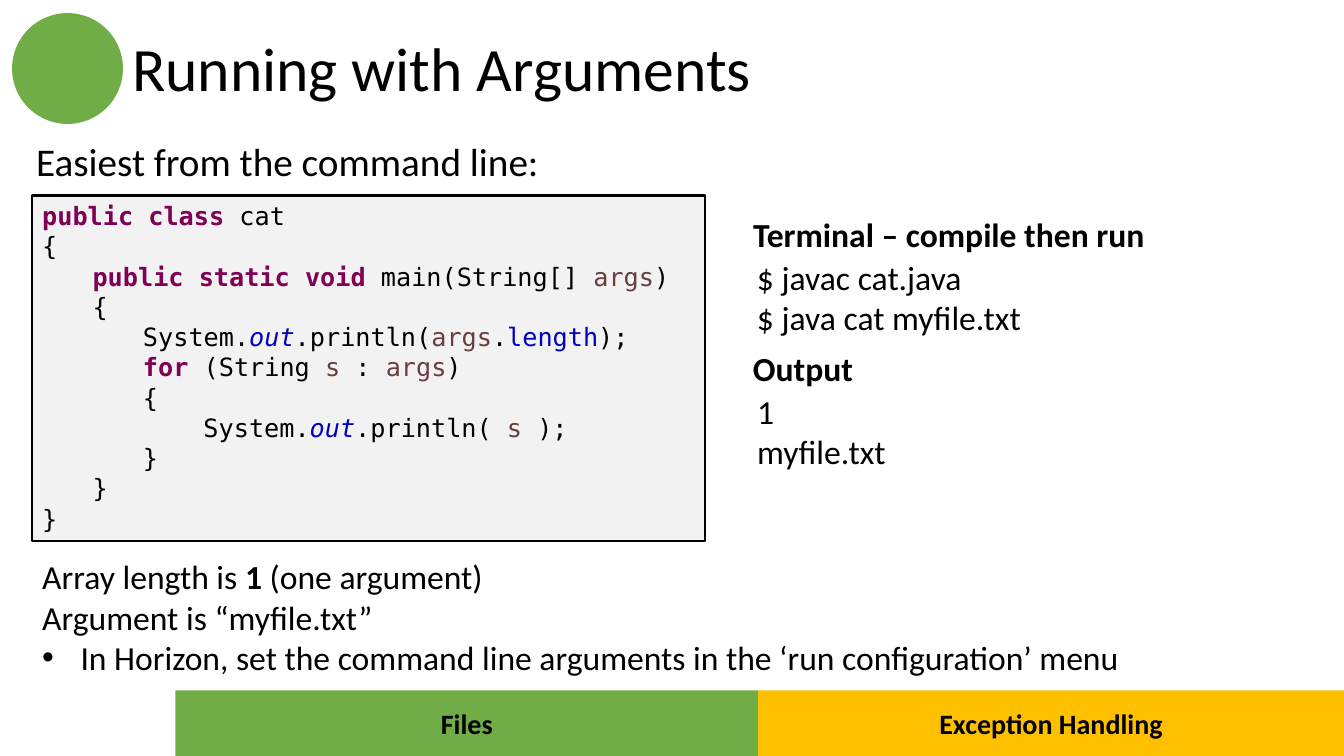
from dataclasses import dataclass
from typing import NamedTuple

from lxml import etree
from pptx import Presentation
from pptx.dml.color import RGBColor
from pptx.enum.shapes import MSO_SHAPE
from pptx.enum.text import MSO_ANCHOR, PP_ALIGN
from pptx.oxml.ns import qn
from pptx.util import Inches, Pt

RECT, OVAL = MSO_SHAPE.RECTANGLE, MSO_SHAPE.OVAL
TOP, MIDDLE = MSO_ANCHOR.TOP, MSO_ANCHOR.MIDDLE
LEFT, CENTER = PP_ALIGN.LEFT, PP_ALIGN.CENTER


@dataclass(frozen=True)
class Theme:
    sans: str = "Calibri"
    mono: str = "DejaVu Sans Mono"
    black: str = "000000"
    green: str = "70AD47"
    gold: str = "FFC000"
    panel: str = "F2F2F2"
    key: str = "7F0055"
    param: str = "6A3E3E"
    field: str = "0000C0"
    title: int = 44
    lead: int = 28
    body: int = 24
    tab: int = 20
    code: int = 18


THEME = Theme()


class Run(NamedTuple):
    text: str
    color: str = THEME.black
    bold: bool = False
    italic: bool = False


class Line(NamedTuple):
    runs: list[Run]
    indent: float = 0
    bullet: bool = False


class Box(NamedTuple):
    left: float
    top: float
    width: float
    height: float


class Note(NamedTuple):
    box: Box
    lines: list[Line]
    size: int = THEME.body
    space: float = 1.0


class Tab(NamedTuple):
    box: Box
    label: str
    fill: str


def plain(text: str, indent: float = 0, bold: bool = False, bullet: bool = False) -> Line:
    return Line([Run(text, bold=bold)], indent, bullet)


def key(text: str) -> Run:
    return Run(text, THEME.key, bold=True)


def param(text: str) -> Run:
    return Run(text, THEME.param)


OUT = Run("out", THEME.field, italic=True)

CODE = [
    Line([key("public class "), Run("cat")]),
    plain("{"),
    Line([key("public static void "), Run("main(String[] "), param("args"), Run(")")], 0.5),
    plain("{", 0.5),
    Line([Run("System."), OUT, Run(".println("), param("args"), Run("."),
          Run("length", THEME.field), Run(");")], 1),
    Line([key("for"), Run(" (String "), param("s"), Run(" : "), param("args"), Run(")")], 1),
    plain("{", 1),
    Line([Run("System."), OUT, Run(".println( "), param("s"), Run(" );")], 1.6),
    plain("}", 1),
    plain("}", 0.5),
    plain("}"),
]

NOTES = [
    Note(Box(0.26, 1.37, 12.7, 0.55), [plain("Easiest from the command line:")], THEME.lead, 0.9),
    Note(Box(7.37, 2.07, 5.19, 0.5), [plain("Terminal – compile then run", bold=True)]),
    Note(Box(7.41, 2.5, 3.3, 0.91), [plain("$ javac cat.java"), plain("$ java cat myfile.txt")]),
    Note(Box(7.37, 3.4, 1.46, 0.5), [plain("Output", bold=True)]),
    Note(Box(7.41, 3.83, 1.71, 0.91), [plain("1"), plain("myfile.txt")]),
    Note(Box(0.32, 5.47, 10.95, 1.31), [
        Line([Run("Array length is "), Run("1", bold=True), Run(" (one argument)")]),
        plain("Argument is “myfile.txt”"),
        plain("In Horizon, set the command line arguments in the ‘run configuration’ menu",
              0.38, bullet=True),
    ]),
]

TABS = [
    Tab(Box(1.74, 6.85, 5.78, 0.65), "Files", THEME.green),
    Tab(Box(7.52, 6.85, 5.81, 0.65), "Exception Handling", THEME.gold),
]


def place(box: Box) -> list[int]:
    return [Inches(n) for n in box]


def write(shape, lines: list[Line], *, size: int, font: str = THEME.sans,
          align=LEFT, anchor=TOP, space: float = 1.0) -> None:
    frame = shape.text_frame
    frame.word_wrap = True
    frame.vertical_anchor = anchor
    for i, line in enumerate(lines):
        para = frame.add_paragraph() if i else frame.paragraphs[0]
        para.alignment = align
        para.line_spacing = space
        if line.indent:
            props = para._p.get_or_add_pPr()
            props.set("marL", str(Inches(line.indent)))
            if line.bullet:
                props.set("indent", str(-Inches(line.indent)))
                face = etree.SubElement(props, qn("a:buFont"))
                face.set("typeface", "Arial")
                etree.SubElement(props, qn("a:buChar")).set("char", "•")
        for item in line.runs:
            run = para.add_run()
            run.text = item.text
            run.font.name = font
            run.font.size = Pt(size)
            run.font.bold = item.bold
            run.font.italic = item.italic
            run.font.color.rgb = RGBColor.from_string(item.color)


def draw(slide, kind, box: Box, fill: str, edge: float = 0):
    shape = slide.shapes.add_shape(kind, *place(box))
    shape.shadow.inherit = False
    shape.fill.solid()
    shape.fill.fore_color.rgb = RGBColor.from_string(fill)
    if edge:
        shape.line.color.rgb = RGBColor.from_string(THEME.black)
        shape.line.width = Pt(edge)
    else:
        shape.line.fill.background()
    return shape


def main() -> None:
    deck = Presentation()
    deck.slide_width, deck.slide_height = Inches(13.33), Inches(7.5)
    slide = deck.slides.add_slide(deck.slide_layouts[5])

    title = slide.shapes.title
    title.left, title.top, title.width, title.height = place(Box(1.21, 0.22, 11.74, 0.97))
    write(title, [plain("Running with Arguments")], size=THEME.title, anchor=MIDDLE, space=0.9)

    panel = draw(slide, RECT, Box(0.32, 1.94, 6.67, 3.43), THEME.panel, edge=1.5)
    write(panel, CODE, size=THEME.code, font=THEME.mono)

    for note in NOTES:
        area = slide.shapes.add_textbox(*place(note.box))
        write(area, note.lines, size=note.size, space=note.space)

    for tab in TABS:
        bar = draw(slide, RECT, tab.box, tab.fill)
        write(bar, [plain(tab.label, bold=True)], size=THEME.tab, align=CENTER, anchor=MIDDLE)

    draw(slide, OVAL, Box(0.12, 0.13, 1.1, 1.1), THEME.green)
    deck.save("out.pptx")


if __name__ == "__main__":
    main()
